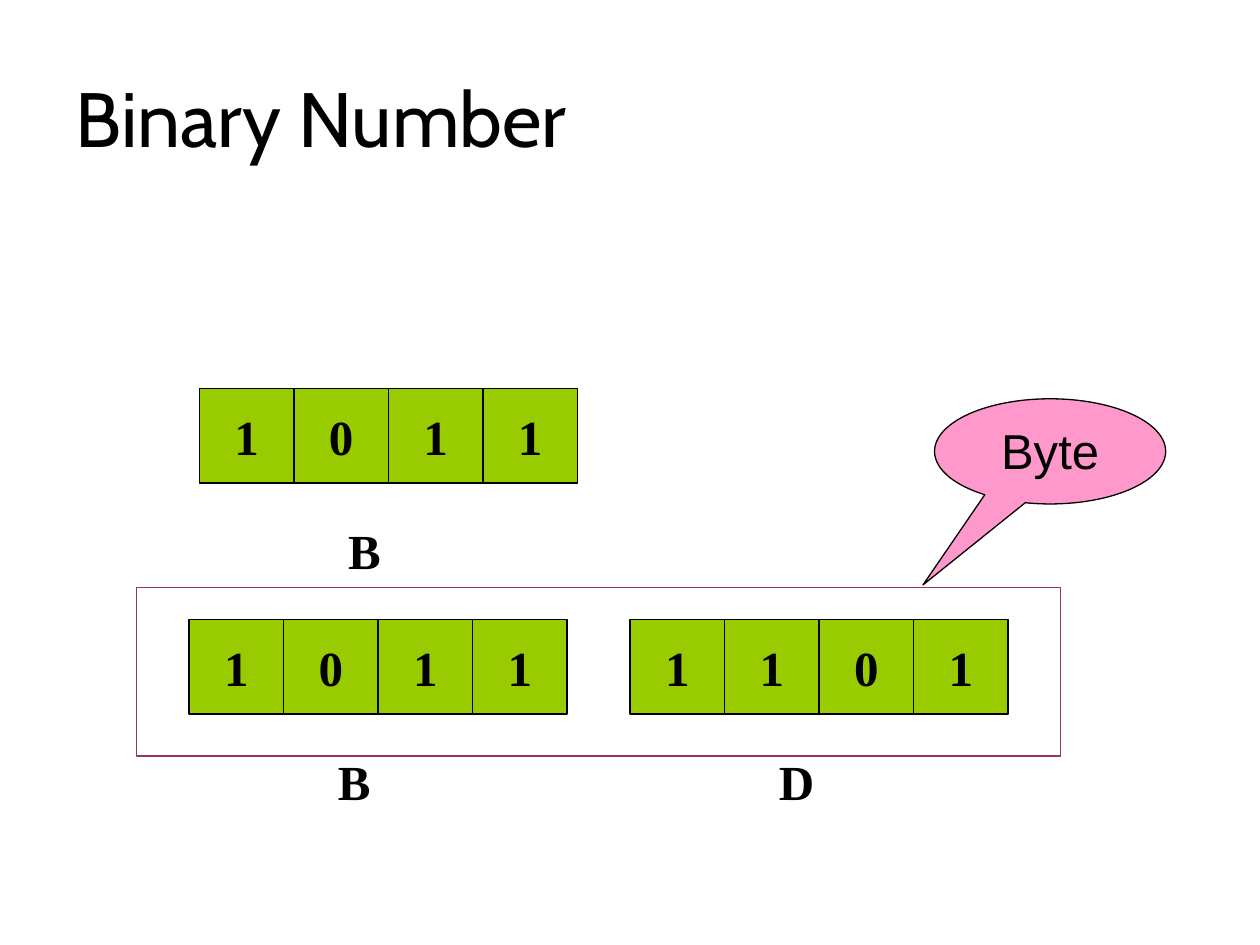
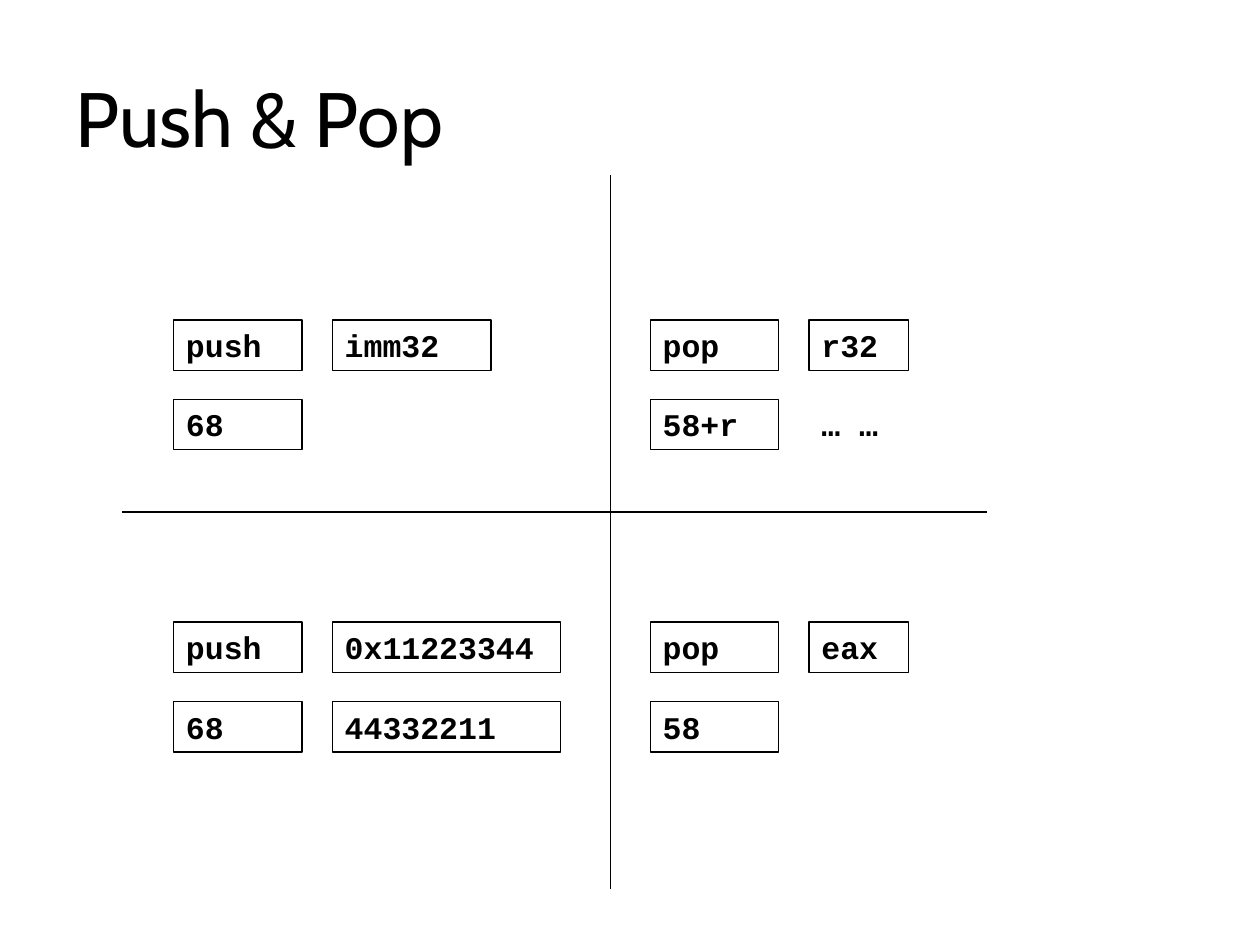
"""Build two slides on binary numbers and on push and pop encodings."""
from pptx import Presentation
from pptx.dml.color import RGBColor
from pptx.enum.shapes import MSO_CONNECTOR, MSO_SHAPE
from pptx.enum.text import MSO_ANCHOR, MSO_AUTO_SIZE, PP_ALIGN
from pptx.oxml.xmlchemy import OxmlElement
from pptx.util import Cm, Pt

COLORS = {
    "ink": "000000",
    "bit": "99CC00",
    "byte": "FF99CC",
    "frame": "993366",
}
CELL = 1.905
OPERAND_SHIFT = 3.2
ROW_PITCH = 1.6
CODE_HEIGHT = 1.02


def rgb(name):
    return RGBColor.from_string(COLORS[name])


def write(sp, text, font="Times New Roman", size=28, bold=False,
          align=PP_ALIGN.LEFT, anchor=MSO_ANCHOR.TOP, wrap=True):
    tf = sp.text_frame
    tf.auto_size = MSO_AUTO_SIZE.NONE
    tf.word_wrap = wrap
    tf.vertical_anchor = anchor
    p = tf.paragraphs[0]
    p.alignment = align
    r = p.add_run()
    r.text = text
    r.font.name = font
    r.font.size = Pt(size)
    r.font.bold = bold
    r.font.color.rgb = rgb("ink")


def add_titled_slide(prs, title):
    s = prs.slides.add_slide(prs.slide_layouts[5])
    sp = s.shapes.title
    sp.left, sp.top, sp.width, sp.height = Cm(1.27), Cm(0.76), Cm(22.86), Cm(3.18)
    write(sp, title, font="Cabin", size=44, anchor=MSO_ANCHOR.MIDDLE)
    return s


def add_box(s, x, y, w, h, fill=None, line="ink", kind=MSO_SHAPE.RECTANGLE):
    sp = s.shapes.add_shape(kind, Cm(x), Cm(y), Cm(w), Cm(h))
    sp.shadow.inherit = False
    if fill:
        sp.fill.solid()
        sp.fill.fore_color.rgb = rgb(fill)
    else:
        sp.fill.background()
    sp.line.color.rgb = rgb(line)
    sp.line.width = Pt(0.75)
    return sp


def add_label(s, text, x, y, w, h, **style):
    write(s.shapes.add_textbox(Cm(x), Cm(y), Cm(w), Cm(h)), text, **style)


def add_line(s, x1, y1, x2, y2):
    line = s.shapes.add_connector(MSO_CONNECTOR.STRAIGHT, Cm(x1), Cm(y1), Cm(x2), Cm(y2))
    line.line.color.rgb = rgb("ink")
    line.line.width = Pt(0.75)
    line._element.spPr.append(OxmlElement("a:effectLst"))


def add_nibble(s, bits, digit, x, y):
    for i, bit in enumerate(bits):
        cell = add_box(s, x + i * CELL, y, CELL, CELL, fill="bit")
        write(cell, bit, bold=True, align=PP_ALIGN.CENTER,
              anchor=MSO_ANCHOR.MIDDLE, wrap=False)
    add_label(s, digit, x + 2.75, y + 2.54, 2.75, 1.44, bold=True)


def add_code(s, text, x, y, w, boxed=True):
    style = {"font": "Courier New", "size": 18, "bold": True}
    if boxed:
        write(add_box(s, x, y, w, CODE_HEIGHT), text, **style)
    else:
        add_label(s, text, x, y, w, CODE_HEIGHT, **style)


def add_instruction(s, x, y, mnemonic, operand, opcode, operand_width):
    add_code(s, mnemonic, x, y, 2.59)
    add_code(s, operand, x + OPERAND_SHIFT, y, operand_width)
    add_code(s, opcode, x, y + ROW_PITCH, 2.59)


def build_binary_slide(prs):
    s = add_titled_slide(prs, "Binary Number")
    add_nibble(s, "1011", "B", 4.02, 7.83)
    add_nibble(s, "1011", "B", 3.81, 12.49)
    add_nibble(s, "1101", "D", 12.7, 12.49)
    add_box(s, 2.75, 11.85, 18.63, 3.39, line="frame")
    callout = add_box(s, 18.84, 8.04, 4.66, 2.12, fill="byte", kind=MSO_SHAPE.OVAL_CALLOUT)
    callout.adjustments[0] = -0.55
    callout.adjustments[1] = 1.27
    write(callout, "Byte", font="Arial", align=PP_ALIGN.CENTER)


def build_push_pop_slide(prs):
    s = add_titled_slide(prs, "Push & Pop")
    left, right, top, bottom = 3.5, 13.11, 6.45, 12.54
    add_line(s, 2.46, 10.32, 19.89, 10.32)
    add_line(s, 12.3, 3.53, 12.3, 17.93)
    add_instruction(s, left, top, "push", "imm32", "68", 3.2)
    add_instruction(s, right, top, "pop", "r32", "58+r", 2.01)
    add_instruction(s, left, bottom, "push", "0x11223344", "68", 4.6)
    add_instruction(s, right, bottom, "pop", "eax", "58", 2.01)
    add_code(s, "… …", right + OPERAND_SHIFT, top + ROW_PITCH, 2.41, boxed=False)
    add_code(s, "44332211", left + OPERAND_SHIFT, bottom + ROW_PITCH, 4.6)


def main():
    prs = Presentation()
    prs.slide_width, prs.slide_height = Cm(25.4), Cm(19.05)
    build_binary_slide(prs)
    build_push_pop_slide(prs)
    prs.save("out.pptx")


if __name__ == "__main__":
    main()
